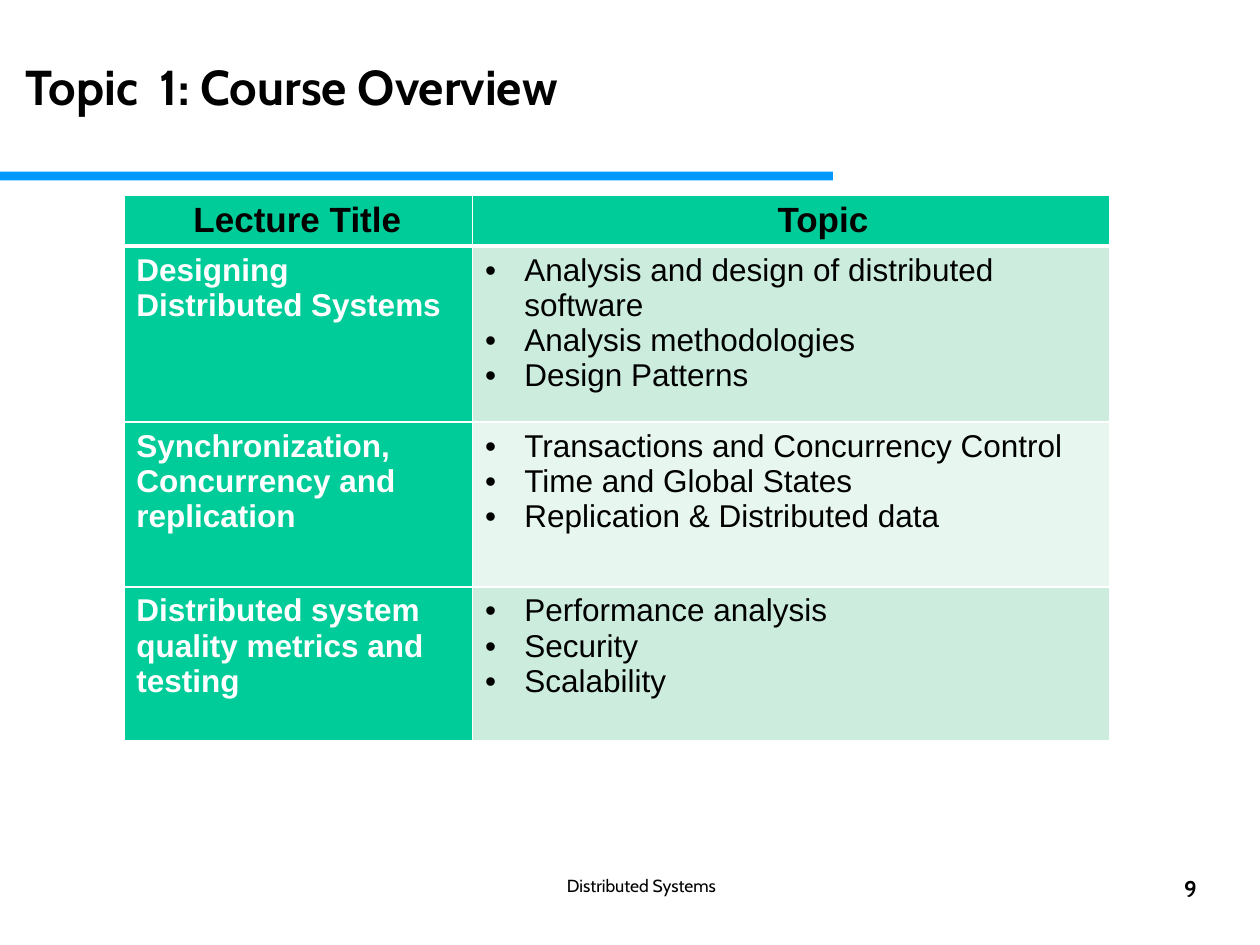
from lxml import etree
from pptx import Presentation
from pptx.dml.color import RGBColor
from pptx.enum.shapes import MSO_SHAPE
from pptx.enum.text import MSO_ANCHOR, PP_ALIGN
from pptx.oxml.ns import qn
from pptx.util import Cm, Pt

LEFT, CENTER, RIGHT = PP_ALIGN.LEFT, PP_ALIGN.CENTER, PP_ALIGN.RIGHT
TOP, MIDDLE = MSO_ANCHOR.TOP, MSO_ANCHOR.MIDDLE
RECTANGLE = MSO_SHAPE.RECTANGLE
COLORS = {
    "black": "000000",
    "white": "FFFFFF",
    "blue": "0099FF",
    "green": "00CC99",
    "mint": "CCECDE",
    "pale": "E7F6EF",
}


def write_text(frame, lines, font="Arial", size=18, color="black", bold=False,
               align=LEFT, spacing=None, margins=(0, 0), left=0, bullet=None):
    """Fill a text frame, one paragraph a line; lengths are in cm."""
    frame.word_wrap = True
    frame.margin_left = frame.margin_right = Cm(margins[0])
    frame.margin_top = frame.margin_bottom = Cm(margins[1])
    for index, line in enumerate(lines):
        paragraph = frame.add_paragraph() if index else frame.paragraphs[0]
        paragraph.alignment = align
        properties = paragraph._p.get_or_add_pPr()
        properties.set("marL", str(Cm(left)))
        if bullet:
            properties.set("indent", str(-Cm(left)))
            etree.SubElement(properties, qn("a:buFont"), typeface=font)
            etree.SubElement(properties, qn("a:buChar"), char=bullet)
        if spacing:
            paragraph.line_spacing = spacing
        run = paragraph.add_run()
        run.text = line
        run.font.name = font
        run.font.size = Pt(size)
        run.font.bold = bold
        run.font.color.rgb = RGBColor.from_string(COLORS[color])


def style_cell(cell, fill, top=1, bottom=1):
    """Set the fill and the white borders; widths are in points."""
    cell.fill.solid()
    cell.fill.fore_color.rgb = RGBColor.from_string(COLORS[fill])
    widths = {"a:lnL": 1, "a:lnR": 1, "a:lnT": top, "a:lnB": bottom}
    for position, (side, width) in enumerate(widths.items()):
        border = etree.Element(qn(side), w=str(Pt(width)))
        solid = etree.SubElement(border, qn("a:solidFill"))
        etree.SubElement(solid, qn("a:srgbClr"), val=COLORS["white"])
        cell._tc.get_or_add_tcPr().insert(position, border)


prs = Presentation()
prs.slide_width, prs.slide_height = Cm(25.4), Cm(19.05)
slide = prs.slides.add_slide(prs.slide_layouts[6])

# Rule under the title
title_rule = slide.shapes.add_shape(RECTANGLE, 0, Cm(3.46), Cm(16.79), Cm(0.18))
title_rule.shadow.inherit = False
title_rule.fill.solid()
title_rule.fill.fore_color.rgb = RGBColor.from_string(COLORS["blue"])
title_rule.line.fill.background()

# Lecture table
headings = [("Lecture Title", LEFT), ("Topic", CENTER)]
lectures = [
    ("Designing Distributed Systems",
     ["Analysis and design of distributed software",
      "Analysis methodologies", "Design Patterns"]),
    ("Synchronization, Concurrency and replication",
     ["Transactions and Concurrency Control",
      "Time and Global States", "Replication & Distributed data"]),
    ("Distributed system quality metrics and testing",
     ["Performance analysis", "Security", "Scalability"]),
]
column_widths = [7.03, 12.85]
row_heights = [1.03, 3.55, 3.32, 3.1]

overview = slide.shapes.add_table(
    len(row_heights), len(column_widths), Cm(2.5), Cm(3.93),
    Cm(sum(column_widths)), Cm(sum(row_heights))).table
for column, width in zip(overview.columns, column_widths):
    column.width = Cm(width)
for row, height in zip(overview.rows, row_heights):
    row.height = Cm(height)

for column, (heading, align) in enumerate(headings):
    cell = overview.cell(0, column)
    style_cell(cell, "green", bottom=3)
    write_text(cell.text_frame, [heading], size=20, bold=True, align=align,
               spacing=1.15, left=1.27)
    cell.margin_left = cell.margin_right = Cm(0.13)
    cell.margin_top = cell.margin_bottom = 0

for row, (lecture, topics) in enumerate(lectures, start=1):
    top = 3 if row == 1 else 1
    lecture_cell, topic_cell = overview.cell(row, 0), overview.cell(row, 1)
    style_cell(lecture_cell, "green", top=top)
    style_cell(topic_cell, "mint" if row % 2 else "pale", top=top)
    write_text(lecture_cell.text_frame, [lecture], color="white", bold=True)
    write_text(topic_cell.text_frame, topics, left=0.79, bullet="•")
    for cell in (lecture_cell, topic_cell):
        cell.margin_left = cell.margin_right = Cm(0.25)
        cell.margin_top = cell.margin_bottom = Cm(0.13)

# Footer, page number and title
labels = [
    ("Distributed Systems", (8.56, 17.63, 8.74, 1.04), 10, False, CENTER, TOP),
    ("9", (18.21, 17.63, 5.92, 1.04), 13, True, RIGHT, TOP),
    ("Topic  1: Course Overview", (0.51, 0.33, 22.86, 2.79), 28, True, LEFT, MIDDLE),
]
for text, place, size, bold, align, anchor in labels:
    frame = slide.shapes.add_textbox(*map(Cm, place)).text_frame
    frame.vertical_anchor = anchor
    write_text(frame, [text], font="Cabin", size=size, bold=bold, align=align,
               spacing=1.01)

prs.save("out.pptx")
